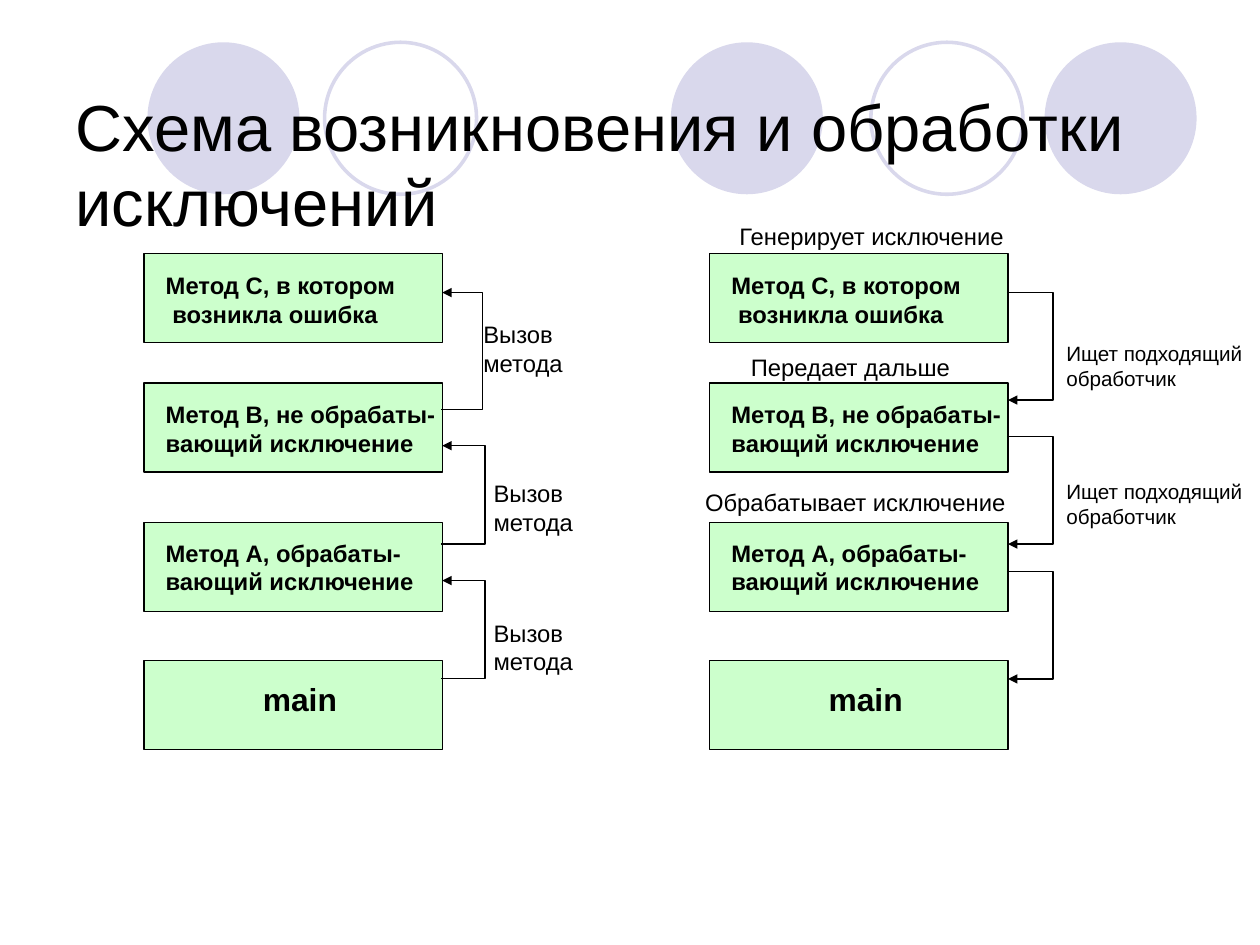
from pptx import Presentation
from pptx import util as u
from pptx.dml.color import RGBColor
from pptx.enum import shapes, text
from pptx.oxml import parse_xml
from pptx.oxml.ns import nsdecls

PX = 9144  # 100 px to the inch
BLACK = RGBColor(0, 0, 0)
GREEN = RGBColor(0xCC, 0xFF, 0xCC)
LILAC = RGBColor(0xD9, 0xD8, 0xEC)

deck = Presentation()
deck.slide_width, deck.slide_height = u.Emu(10080625), u.Emu(7559675)
slide = deck.slides.add_slide(deck.slide_layouts[5])
title = slide.shapes.title


def write(box, words, size, wrap=False, bold=False):
    frame = box.text_frame
    frame.text = words
    look = dict(margin_left=11 * PX, margin_right=11 * PX,
                margin_top=6 * PX, margin_bottom=6 * PX, word_wrap=wrap,
                vertical_anchor=text.MSO_ANCHOR.TOP,
                auto_size=text.MSO_AUTO_SIZE.NONE if wrap
                else text.MSO_AUTO_SIZE.SHAPE_TO_FIT_TEXT)
    for key, val in look.items():
        setattr(frame, key, val)
    for para in frame.paragraphs:
        para.alignment = text.PP_ALIGN.LEFT
        for key, val in dict(name="Arial", size=u.Pt(size), bold=bold).items():
            setattr(para.font, key, val)
        para.font.color.rgb = BLACK


def draw(kind, spot, fill, line, width=0.75):
    shape = slide.shapes.add_shape(kind, *[n * PX for n in spot])
    shape.shadow.inherit = False
    if fill is None:
        shape.fill.background()
    else:
        shape.fill.solid()
        shape.fill.fore_color.rgb = fill
    if line is None:
        shape.line.fill.background()
    else:
        shape.line.color.rgb = line
        shape.line.width = u.Pt(width)


# Row of circles behind the title
for left, full in [(587, True), (914, True), (129, True),
                   (762, False), (284, False)]:
    draw(shapes.MSO_SHAPE.OVAL, (left, 37, 133, 133),
         LILAC if full else None, None if full else LILAC, 2.25)

# Title, in front of the circles
title.element.getparent().append(title.element)
title.left, title.top, title.width, title.height = [
    n * PX for n in (55, 75, 999, 76)]
write(title, "Схема возникновения и обработки исключений", 41, wrap=True)
title.text_frame.paragraphs[0].line_spacing = 0.95

# Two stacks of methods: offset of the text, width, height, size
tops = [222, 335, 457, 578]
calls = [
    ("Метод C, в котором\n возникла ошибка", 8, 9, 225, 61, 15),
    ("Метод B, не обрабаты-\nвающий исключение", 8, 9, 259, 61, 15),
    ("Метод A, обрабаты-\nвающий исключение", 8, 8, 240, 61, 15),
    ("main", 93, 11, 87, 44, 20),
]
for left in (126, 621):
    for top, (words, dx, dy, wide, high, size) in zip(tops, calls):
        draw(shapes.MSO_SHAPE.RECTANGLE, (left, top, 261, 78), GREEN, BLACK)
        box = slide.shapes.add_textbox((left + dx) * PX, (top + dy) * PX,
                                       wide * PX, high * PX)
        write(box, words, size, bold=True)

# Bent arrows: side of the stack, start, end, reach to the right
for left, start, end, reach in [
        (386, 358, 256, 37), (386, 476, 390, 39), (386, 594, 508, 39),
        (881, 256, 350, 41), (881, 382, 476, 41), (881, 500, 594, 41)]:
    arrow = slide.shapes.add_connector(
        shapes.MSO_CONNECTOR.ELBOW, left * PX, start * PX,
        (left + 1) * PX, end * PX)
    arrow.line.color.rgb = BLACK
    arrow.line.width = u.Pt(0.75)
    props = arrow.element.spPr
    # The bend lies far outside the 1 px wide frame
    props.prstGeom.avLst.append(parse_xml(
        f'<a:gd {nsdecls("a")} name="adj1" fmla="val {reach * 100000}"/>'))
    props.find("{*}ln").append(parse_xml(
        f'<a:tailEnd {nsdecls("a")} type="triangle"/>'))
    props.append(parse_xml(f'<a:effectLst {nsdecls("a")}/>'))

# Labels beside the arrows and above the boxes
call = "Вызов\nметода"
seek = "Ищет подходящий\nобработчик"
for words, left, top, wide, high, size in [
        (call, 412, 274, 93, 61, 15),
        (call, 421, 413, 93, 61, 15),
        (call, 421, 535, 93, 61, 15),
        (seek, 922, 292, 178, 54, 13),
        (seek, 922, 413, 178, 54, 13),
        ("Генерирует исключение", 636, 188, 256, 36, 15),
        ("Передает дальше", 646, 303, 198, 36, 15),
        ("Обрабатывает исключение", 606, 421, 287, 36, 15)]:
    box = slide.shapes.add_textbox(left * PX, top * PX, wide * PX, high * PX)
    write(box, words, size)

deck.save("out.pptx")
